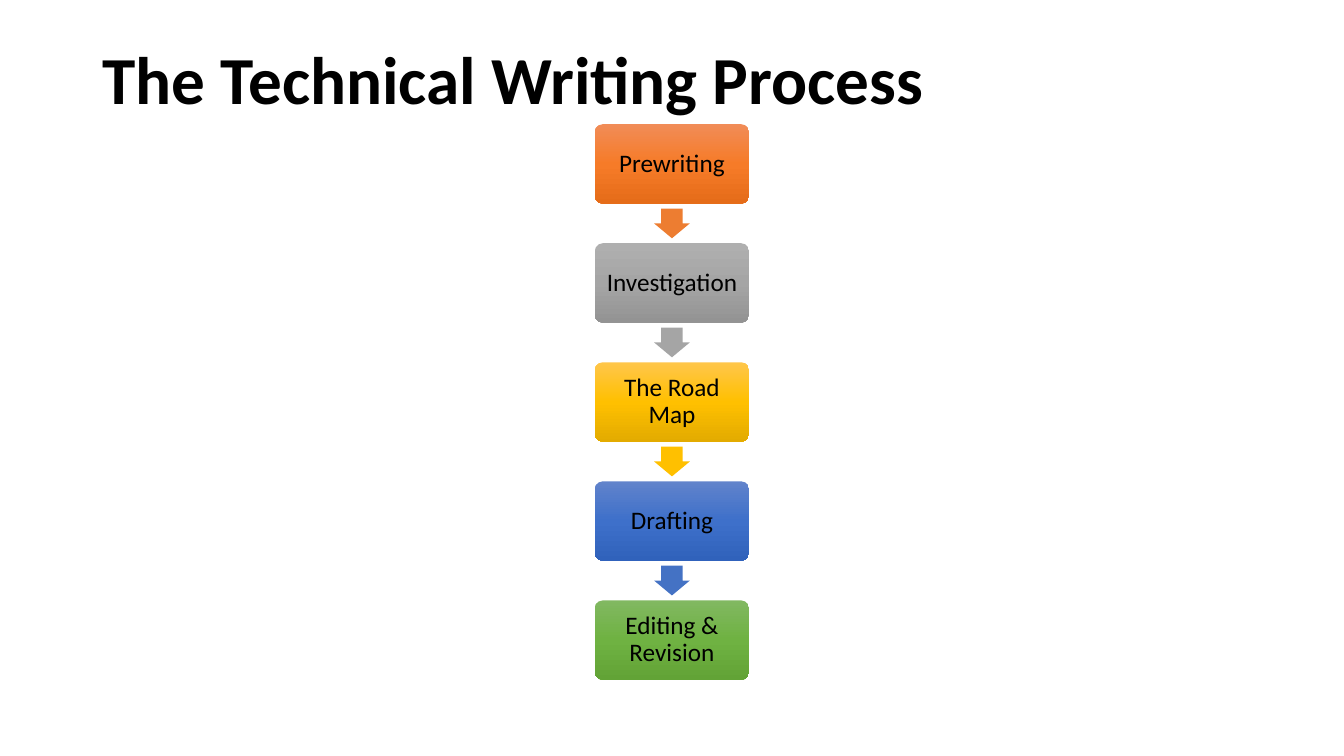
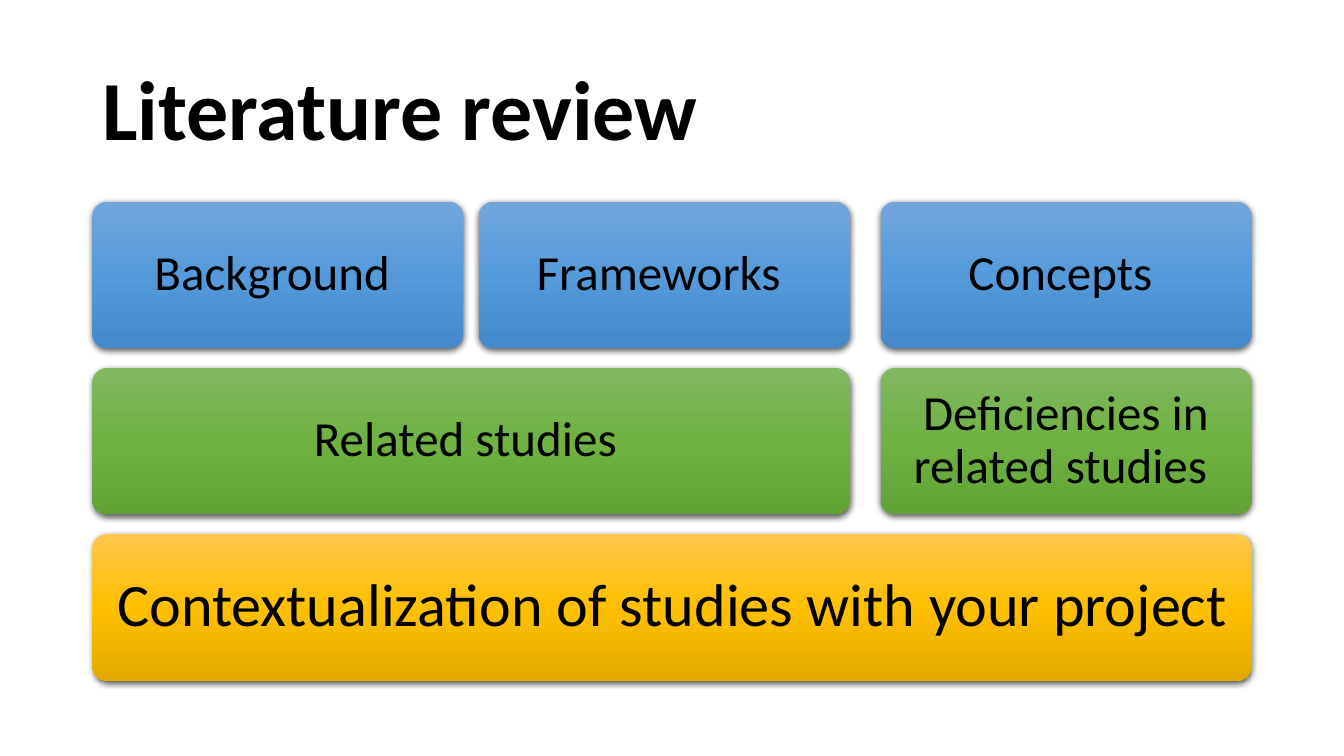
from copy import deepcopy

from lxml import etree
from pptx import Presentation
from pptx.dml.color import RGBColor
from pptx.enum.shapes import MSO_SHAPE
from pptx.enum.text import MSO_ANCHOR, MSO_AUTO_SIZE, PP_ALIGN
from pptx.oxml import parse_xml
from pptx.oxml.ns import nsdecls, qn
from pptx.util import Cm, Pt

ROUNDED = MSO_SHAPE.ROUNDED_RECTANGLE
DOWN_ARROW = MSO_SHAPE.DOWN_ARROW
MIDDLE = MSO_ANCHOR.MIDDLE
NO_AUTOFIT = MSO_AUTO_SIZE.NONE
LEFT, CENTER = PP_ALIGN.LEFT, PP_ALIGN.CENTER
TITLE_ONLY = 5

FONT = "Calibri"
BLACK = RGBColor(0x00, 0x00, 0x00)
ORANGE = RGBColor(0xED, 0x7D, 0x31)
GREY = RGBColor(0xA5, 0xA5, 0xA5)
GOLD = RGBColor(0xFF, 0xC0, 0x00)
BLUE = RGBColor(0x44, 0x72, 0xC4)
ORANGE_BLEND = (RGBColor(0xF1, 0x8C, 0x57), RGBColor(0xF6, 0x7B, 0x28), RGBColor(0xE5, 0x6C, 0x19))
GREY_BLEND = (RGBColor(0xAF, 0xAF, 0xAF), GREY, RGBColor(0x93, 0x93, 0x93))
GOLD_BLEND = (RGBColor(0xFF, 0xC6, 0x4B), GOLD, RGBColor(0xE3, 0xAB, 0x00))
BLUE_BLEND = (RGBColor(0x61, 0x83, 0xCB), RGBColor(0x3E, 0x70, 0xCA), RGBColor(0x30, 0x62, 0xBB))
GREEN_BLEND = (RGBColor(0x81, 0xB8, 0x61), RGBColor(0x6F, 0xB2, 0x42), RGBColor(0x62, 0xA3, 0x36))
SKY_BLEND = (RGBColor(0x71, 0xA6, 0xDB), RGBColor(0x55, 0x9B, 0xDB), RGBColor(0x44, 0x8A, 0xCA))

SLIDE_WIDTH, SLIDE_HEIGHT = 33.87, 19.05
MARGIN, CONTENT_WIDTH = 2.33, 29.21
TITLE_TOP = 1.02

STEPS = [
    ("Prewriting", ORANGE_BLEND, ORANGE),
    ("Investigation", GREY_BLEND, GREY),
    ("The Road Map", GOLD_BLEND, GOLD),
    ("Drafting", BLUE_BLEND, BLUE),
    ("Editing & Revision", GREEN_BLEND, None),
]
STEP_TOP, STEP_PITCH = 3.13, 3.0
STEP_WIDTH, STEP_HEIGHT = 3.89, 2.0
ARROW_WIDTH, ARROW_HEIGHT = 0.9, 0.75

CARD_ROWS = [
    (SKY_BLEND, 35, 0.38, [("Background ", 0, 0), ("Frameworks ", 1, 1), ("Concepts ", 2, 2)]),
    (GREEN_BLEND, 35, 0.38, [("Related studies ", 0, 1), ("Deficiencies in related studies ", 2, 2)]),
    (GOLD_BLEND, 43, 0.45, [("Contextualization of studies with your project ", 0, 2)]),
]
CARD_TOP, CARD_PITCH, CARD_HEIGHT = 5.08, 4.19, 3.69
INNER_GAP, GROUP_GAP = 0.39, 0.78
COLUMN_WIDTH = (CONTENT_WIDTH - INNER_GAP - GROUP_GAP) / 3
COLUMN_LEFTS = [
    MARGIN,
    MARGIN + COLUMN_WIDTH + INNER_GAP,
    MARGIN + 2 * COLUMN_WIDTH + INNER_GAP + GROUP_GAP,
]


def style_text(frame, size, align, bold=False):
    """Format the single paragraph of a text frame."""
    frame.word_wrap = True
    frame.auto_size = NO_AUTOFIT
    frame.vertical_anchor = MIDDLE
    para = frame.paragraphs[0]
    para.alignment = align
    para.line_spacing = 0.9
    font = para.runs[0].font
    font.name, font.size, font.bold = FONT, Pt(size), bold
    font.color.rgb = BLACK


def add_titled_page(deck, text, size, height):
    """Add a page with its title placed and formatted."""
    page = deck.slides.add_slide(deck.slide_layouts[TITLE_ONLY])
    title = page.shapes.title
    title.left, title.top = Cm(MARGIN), Cm(TITLE_TOP)
    title.width, title.height = Cm(CONTENT_WIDTH), Cm(height)
    title.text_frame.text = text
    style_text(title.text_frame, size, LEFT, bold=True)
    return page


def add_plain_shape(page, kind, left, top, width, height):
    """Add a preset shape without line or shadow."""
    shape = page.shapes.add_shape(kind, Cm(left), Cm(top), Cm(width), Cm(height))
    shape.shadow.inherit = False
    shape.line.fill.background()
    return shape


def fill_blend(shape, colors):
    """Fill a shape with three colours from top to bottom."""
    shape.fill.gradient()
    shape.fill.gradient_angle = 270
    stop_list = shape._element.spPr.find(qn("a:gradFill")).find(qn("a:gsLst"))
    stop_list.insert(1, deepcopy(stop_list[0]))
    for stop, position, color in zip(shape.fill.gradient_stops, (0, 0.5, 1), colors):
        stop.position = position
        stop.color.rgb = color


def add_soft_shadow(shape):
    """Give a shape a short blurred shadow below."""
    effects = shape._element.spPr.find(qn("a:effectLst"))
    shadow = parse_xml(
        f'<a:outerShdw {nsdecls("a")} blurRad="{Pt(4.5)}" dist="{Pt(1.5)}" '
        'dir="5400000" algn="ctr" rotWithShape="0"/>'
    )
    color = etree.SubElement(shadow, qn("a:srgbClr"), val=str(BLACK))
    etree.SubElement(color, qn("a:alpha"), val="63000")
    effects.append(shadow)


def add_card(page, text, blend, place, size, inset):
    """Add a rounded box with a blended fill and centred text."""
    card = add_plain_shape(page, ROUNDED, *place)
    card.adjustments[0] = 0.1
    fill_blend(card, blend)
    frame = card.text_frame
    frame.margin_left = frame.margin_right = Cm(inset)
    frame.margin_top = frame.margin_bottom = Cm(inset)
    frame.text = text
    style_text(frame, size, CENTER)
    return card


def add_arrow(page, top, color):
    """Add a centred arrow that points down to the next step."""
    left = (SLIDE_WIDTH - ARROW_WIDTH) / 2
    arrow = add_plain_shape(page, DOWN_ARROW, left, top, ARROW_WIDTH, ARROW_HEIGHT)
    arrow.adjustments[0], arrow.adjustments[1] = 0.6, 0.5
    arrow.fill.solid()
    arrow.fill.fore_color.rgb = color


def build_process(deck):
    """Build the page with the chain of writing steps."""
    page = add_titled_page(deck, "The Technical Writing Process", 48, 2.11)
    left = (SLIDE_WIDTH - STEP_WIDTH) / 2
    arrow_offset = (STEP_HEIGHT + STEP_PITCH - ARROW_HEIGHT) / 2
    for index, (text, blend, arrow_color) in enumerate(STEPS):
        top = STEP_TOP + index * STEP_PITCH
        add_card(page, text, blend, (left, top, STEP_WIDTH, STEP_HEIGHT), 18, 0.18)
        if arrow_color:
            add_arrow(page, top + arrow_offset, arrow_color)


def build_review(deck):
    """Build the page with the rows of review parts."""
    page = add_titled_page(deck, "Literature review", 60, 3.68)
    for index, (blend, size, inset, cards) in enumerate(CARD_ROWS):
        top = CARD_TOP + index * CARD_PITCH
        for text, first, last in cards:
            left = COLUMN_LEFTS[first]
            width = COLUMN_LEFTS[last] + COLUMN_WIDTH - left
            card = add_card(page, text, blend, (left, top, width, CARD_HEIGHT), size, inset)
            add_soft_shadow(card)


def main():
    """Build and save the deck."""
    deck = Presentation()
    deck.slide_width, deck.slide_height = Cm(SLIDE_WIDTH), Cm(SLIDE_HEIGHT)
    build_process(deck)
    build_review(deck)
    deck.save("out.pptx")


if __name__ == "__main__":
    main()
